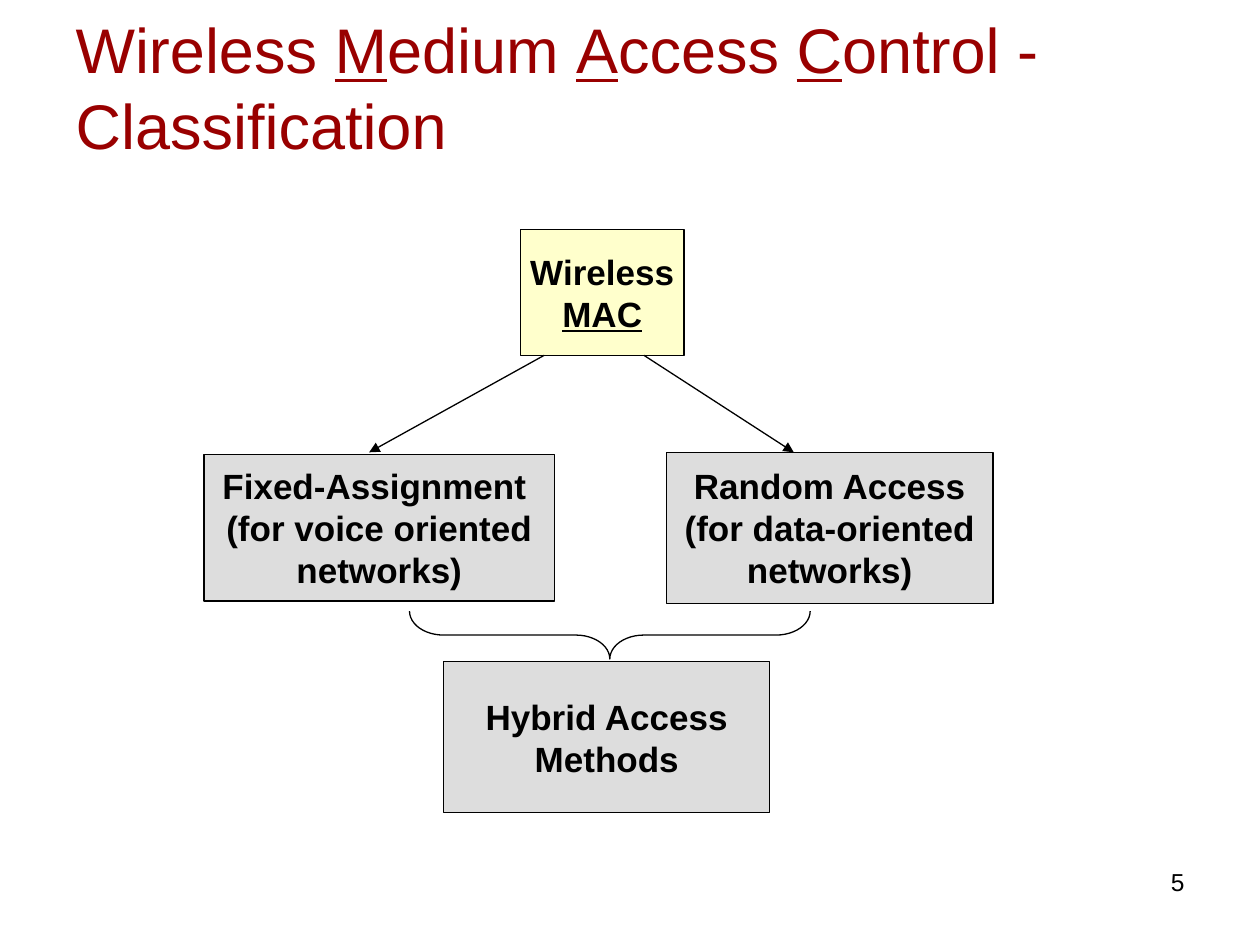
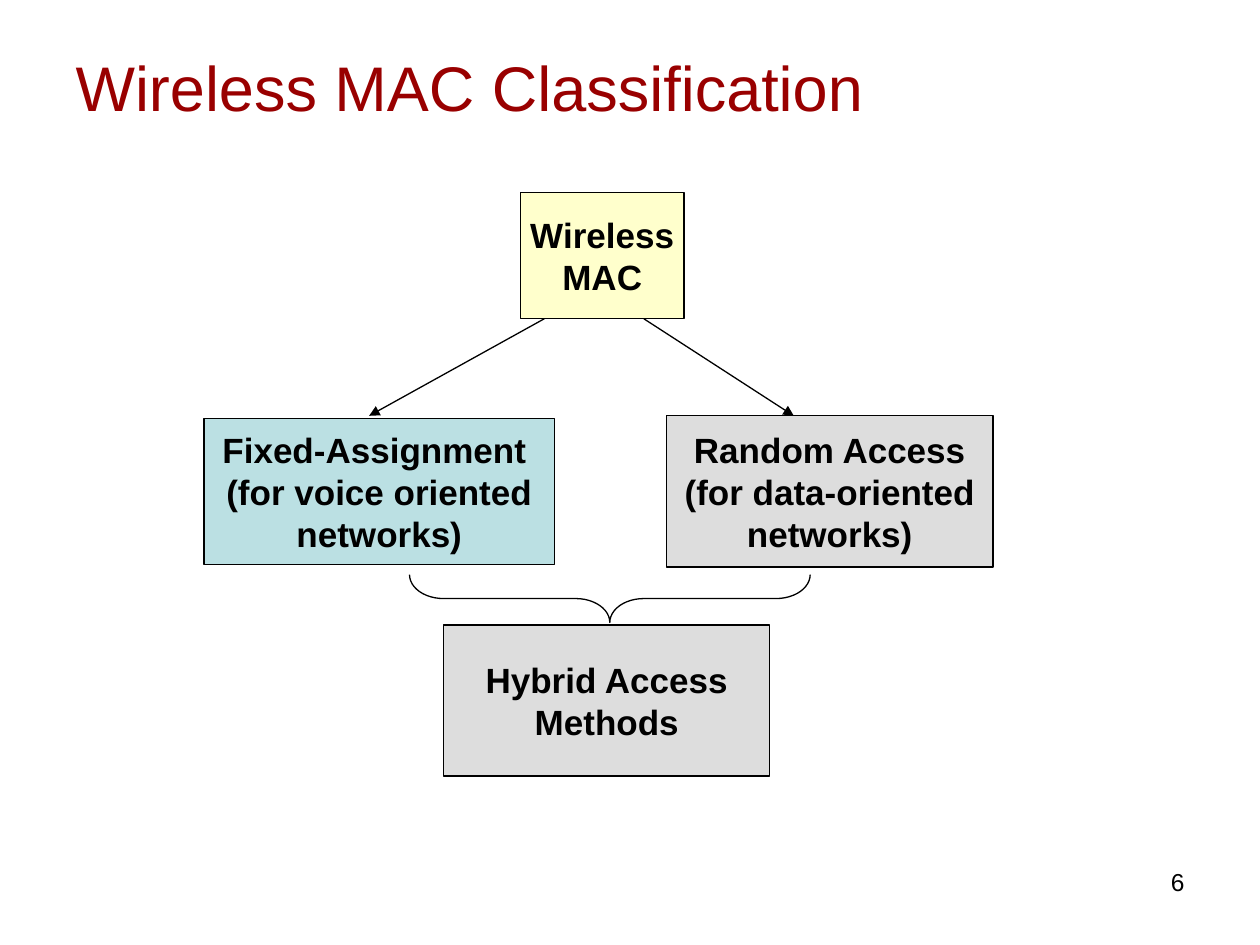
from pptx import Presentation
from pptx import util as u
from pptx.dml.color import RGBColor
from pptx.enum import shapes, text
from pptx.oxml.ns import qn
from lxml import etree

COLORS = {"title": "990000", "ink": "000000", "root": "FFFFCC",
          "plain": "DDDDDD", "highlight": "BBE0E3"}
FONT = "Arial"

# Content: text between underscores is underlined
SLIDES = [
    {"title": "Wireless _M_edium _A_ccess _C_ontrol - Classification",
     "root": ["Wireless", "_MAC_"], "fixed_fill": "plain", "top": 1.82, "number": "5"},
    {"title": "Wireless MAC Classification",
     "root": ["Wireless", "MAC"], "fixed_fill": "highlight", "top": 1.53, "number": "6"},
]
FIXED = ["Fixed-Assignment ", "(for voice oriented networks)"]
RANDOM = ["Random Access", "(for data-oriented networks)"]
HYBRID = ["Hybrid Access Methods"]

# Diagram geometry in inches; vertical offsets count from the diagram top
ROOT_BOX = (4.13, 0, 1.3, 1)
FIXED_BOX = (1.62, 1.79, 2.78, 1.16)
RANDOM_BOX = (5.29, 1.77, 2.59, 1.2)
HYBRID_BOX = (3.52, 3.43, 2.59, 1.2)
BRACE_BOX = (4.65, 1.63, 0.38, 3.18)
ARROWS = [(4.32, 2.93), (5.11, 6.3)]
ARROW_START, ARROW_END = 1, 1.77


def write(shape, lines, size, color="ink", bold=False, align=text.PP_ALIGN.CENTER,
          anchor=text.MSO_ANCHOR.MIDDLE, wrap=True):
    frame = shape.text_frame
    frame.word_wrap = wrap
    frame.auto_size = text.MSO_AUTO_SIZE.NONE
    frame.vertical_anchor = anchor
    for index, line in enumerate(lines):
        paragraph = frame.add_paragraph() if index else frame.paragraphs[0]
        paragraph.alignment = align
        for part, words in enumerate(line.split("_")):
            if not words:
                continue
            run = paragraph.add_run()
            run.text = words
            run.font.name = FONT
            run.font.size = u.Pt(size)
            run.font.bold = bold
            run.font.underline = part % 2 == 1
            run.font.color.rgb = RGBColor.from_string(COLORS[color])


def set_line(shape):
    shape.line.color.rgb = RGBColor.from_string(COLORS["ink"])
    shape.line.width = u.Pt(0.75)


def add_preset(slide, kind, box, top, fill=None):
    left, offset, width, height = box
    shape = slide.shapes.add_shape(kind, u.Inches(left), u.Inches(top + offset),
                                   u.Inches(width), u.Inches(height))
    shape.shadow.inherit = False
    set_line(shape)
    if fill:
        shape.fill.solid()
        shape.fill.fore_color.rgb = RGBColor.from_string(COLORS[fill])
    else:
        shape.fill.background()
    return shape


def add_box(slide, lines, box, top, fill="plain", wrap=True):
    shape = add_preset(slide, shapes.MSO_SHAPE.RECTANGLE, box, top, fill)
    write(shape, lines, 20, bold=True, wrap=wrap)


def add_arrow(slide, start_x, end_x, top):
    arrow = slide.shapes.add_connector(
        shapes.MSO_CONNECTOR.STRAIGHT, u.Inches(start_x), u.Inches(top + ARROW_START),
        u.Inches(end_x), u.Inches(top + ARROW_END))
    set_line(arrow)
    properties = arrow.element.spPr
    etree.SubElement(properties.find(qn("a:ln")), qn("a:tailEnd"), type="triangle")
    etree.SubElement(properties, qn("a:effectLst"))


def add_frame(slide, title, number):
    heading = slide.shapes.title
    heading.left, heading.top = u.Inches(0.5), u.Inches(0.17)
    heading.width, heading.height = u.Inches(9), u.Inches(1.03)
    write(heading, [title], 36, "title", align=text.PP_ALIGN.LEFT)
    footer = slide.shapes.add_textbox(u.Inches(7.17), u.Inches(6.83),
                                      u.Inches(2.33), u.Inches(0.52))
    write(footer, [number], 14, align=text.PP_ALIGN.RIGHT, anchor=text.MSO_ANCHOR.TOP)


def add_diagram(slide, root, fixed_fill, top):
    add_box(slide, root, ROOT_BOX, top, "root", wrap=False)
    add_box(slide, FIXED, FIXED_BOX, top, fixed_fill)
    add_box(slide, RANDOM, RANDOM_BOX, top)
    for start_x, end_x in ARROWS:
        add_arrow(slide, start_x, end_x, top)
    add_box(slide, HYBRID, HYBRID_BOX, top)
    # Brace joining both branches, turned to point down
    brace = add_preset(slide, shapes.MSO_SHAPE.LEFT_BRACE, BRACE_BOX, top)
    brace.rotation = 270
    brace.adjustments[0] = 0.71
    brace.adjustments[1] = 0.5


def main():
    presentation = Presentation()
    presentation.slide_width, presentation.slide_height = u.Inches(10), u.Inches(7.5)
    title_only = presentation.slide_layouts[5]
    for content in SLIDES:
        slide = presentation.slides.add_slide(title_only)
        add_frame(slide, content["title"], content["number"])
        add_diagram(slide, content["root"], content["fixed_fill"], content["top"])
    presentation.save("out.pptx")


if __name__ == "__main__":
    main()
